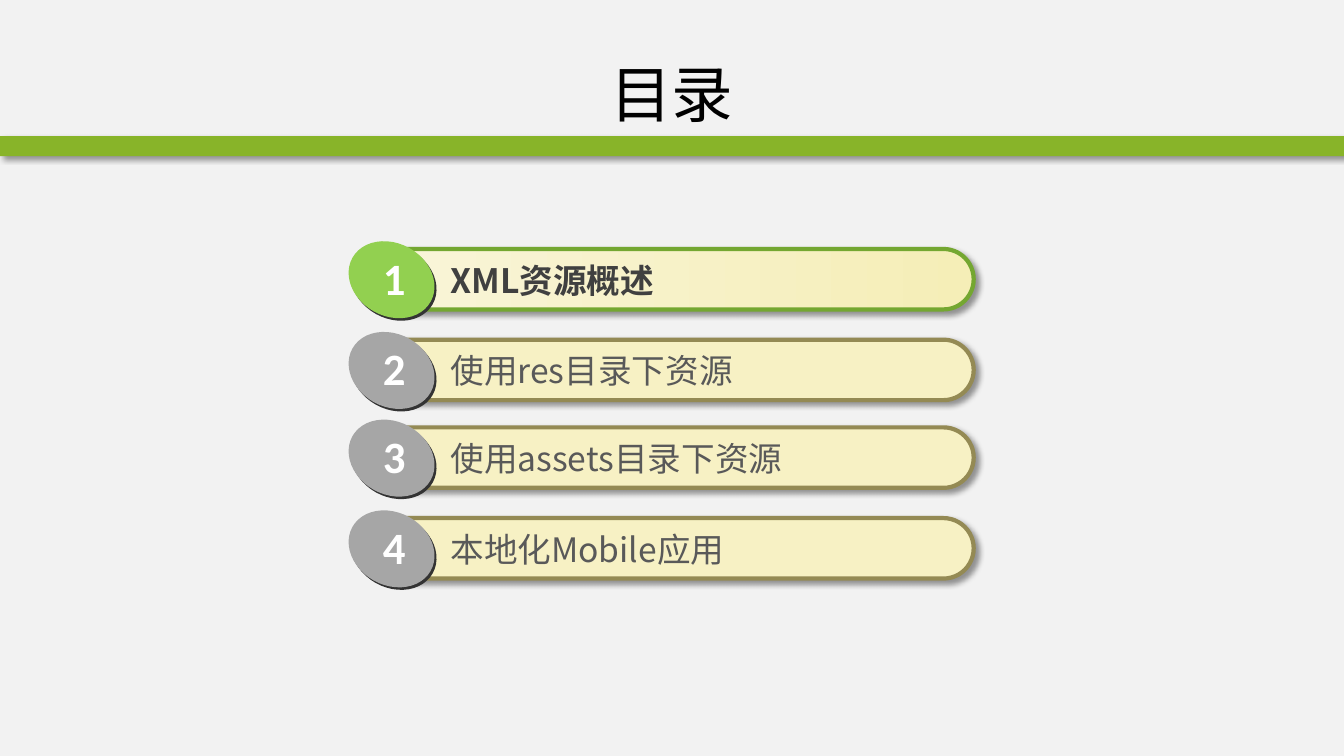
from lxml.etree import SubElement
from pptx import Presentation
from pptx.dml.color import RGBColor
from pptx.enum.shapes import MSO_SHAPE
from pptx.enum.text import MSO_ANCHOR, MSO_AUTO_SIZE, PP_ALIGN
from pptx.oxml.ns import qn
from pptx.util import Inches, Pt

COLUMN = Inches(13.33) / 40
ROW = Inches(7.5) / 30
CHINESE_FONT = "Noto Sans CJK SC"
ENTRIES = [
    (9.88, "XML资源概述"),
    (13.48, "使用res目录下资源"),
    (16.96, "使用assets目录下资源"),
    (20.56, "本地化Mobile应用"),
]


def color(value):
    return RGBColor.from_string(value)


def grid(left, top, width, height):
    return [round(size) for size in (left * COLUMN, top * ROW, width * COLUMN, height * ROW)]


def write(shape, text, font=CHINESE_FONT, size=24, fill="595959", bold=False,
          align=PP_ALIGN.LEFT, anchor=MSO_ANCHOR.TOP, wrap=True,
          auto_size=MSO_AUTO_SIZE.SHAPE_TO_FIT_TEXT):
    frame = shape.text_frame
    frame.word_wrap = wrap
    frame.auto_size = auto_size
    frame.vertical_anchor = anchor
    paragraph = frame.paragraphs[0]
    paragraph.alignment = align
    run = paragraph.add_run()
    run.text = text
    run.font.name = font
    run.font.size = Pt(size)
    run.font.bold = bold
    run.font.color.rgb = color(fill)
    SubElement(run.font._element, qn("a:ea"), typeface=font)


def add_shadow(shape):
    effects = shape._element.spPr.find(qn("a:effectLst"))
    shadow = SubElement(effects, qn("a:outerShdw"), blurRad=str(Pt(4)), dist=str(Pt(3)),
                        dir="2700000", algn="tl", rotWithShape="0")
    black = SubElement(shadow, qn("a:srgbClr"), val="000000")
    SubElement(black, qn("a:alpha"), val="40000")


def add_solid(shapes, kind, box, fill, rotation=0):
    shape = shapes.add_shape(kind, *grid(*box))
    shape.shadow.inherit = False
    shape.fill.solid()
    shape.fill.fore_color.rgb = color(fill)
    shape.line.fill.background()
    shape.rotation = rotation
    return shape


def add_bar(shapes, top, active):
    bar = add_solid(shapes, MSO_SHAPE.ROUNDED_RECTANGLE, (10.98, top, 18, 2.4), "F7F1C4")
    bar.adjustments[0] = 0.5
    bar.line.color.rgb = color("74A731" if active else "948A54")
    bar.line.width = Pt(3)
    if active:
        bar.fill.gradient()
        bar.fill.gradient_angle = 0
        for stop, shade in zip(bar.fill.gradient_stops, ("F9F5D9", "F5EEB7")):
            stop.color.rgb = color(shade)
    add_shadow(bar)


def add_badge(shapes, top, number, active):
    front = "92D050" if active else "A6A6A6"
    for left, rise, fill in ((10.38, 0.12, "333333"), (10.32, 0.22, front)):
        add_solid(shapes, MSO_SHAPE.OVAL, (left, top - rise, 2.67, 2.88), fill, 29.3)
    digit = shapes.add_textbox(*grid(11.1, top - 0.14, 1.29, 2.56))
    write(digit, str(number), font="Calibri", size=32, fill="FFFFFF", bold=True, wrap=False)


def add_entry(slide, number, top, text):
    active = number == 1
    shapes = slide.shapes.add_group_shape().shapes
    add_bar(shapes, top, active)
    label = shapes.add_textbox(*grid(13.11, top + 0.22, 14.7, 2.02))
    write(label, text, fill="404040" if active else "595959", bold=active)
    add_badge(shapes, top, number, active)


def add_title(slide, text):
    title = slide.shapes.title
    title.left, title.top, title.width, title.height = grid(2, 1.2, 36, 5)
    write(title, text, size=44, fill="000000", align=PP_ALIGN.CENTER,
          anchor=MSO_ANCHOR.MIDDLE, auto_size=MSO_AUTO_SIZE.NONE)


def main():
    presentation = Presentation()
    presentation.slide_width = Inches(13.33)
    presentation.slide_height = Inches(7.5)
    slide = presentation.slides.add_slide(presentation.slide_layouts[5])
    slide.background.fill.solid()
    slide.background.fill.fore_color.rgb = color("F2F2F2")
    add_shadow(add_solid(slide.shapes, MSO_SHAPE.RECTANGLE, (0, 5.4, 40, 0.8), "88B429"))
    add_title(slide, "目录")
    for number, (top, text) in enumerate(ENTRIES, 1):
        add_entry(slide, number, top, text)
    presentation.save("out.pptx")


if __name__ == "__main__":
    main()
